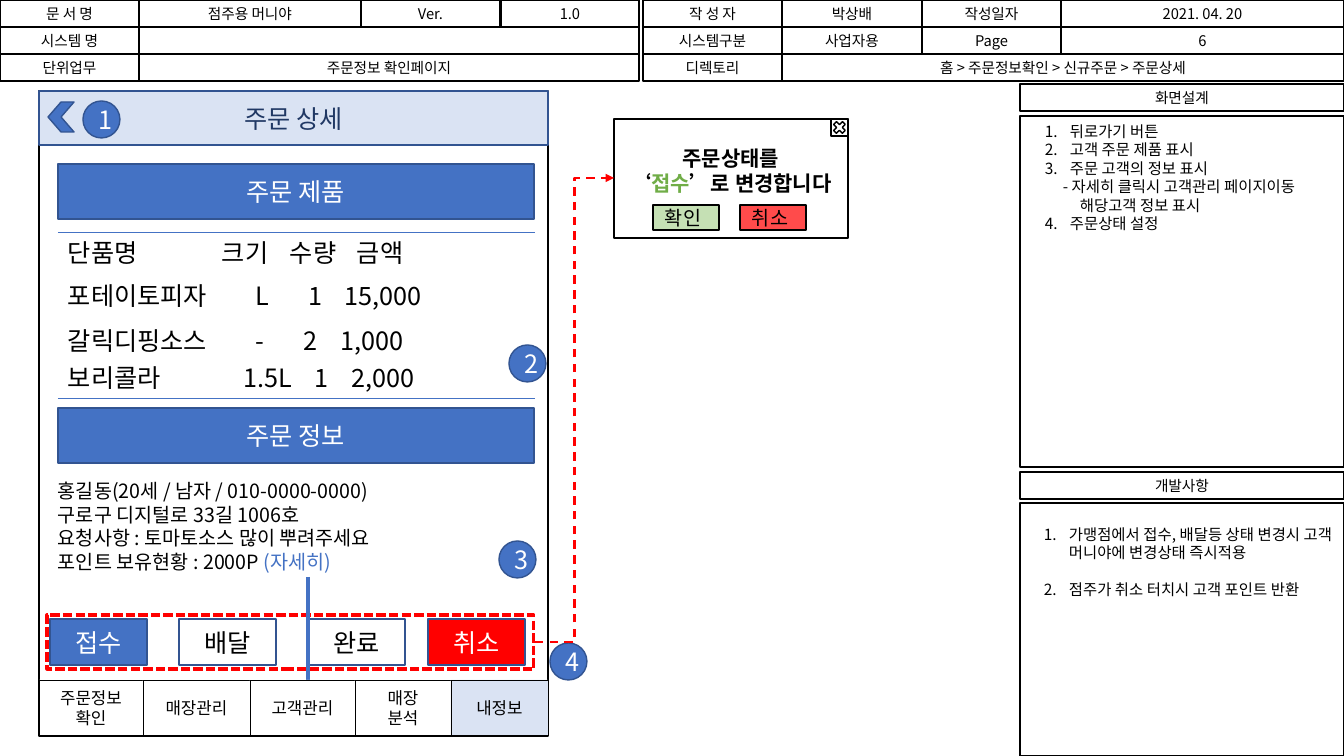
from lxml.etree import SubElement
from pptx import Presentation
from pptx.dml.color import RGBColor as RGB
from pptx.enum.dml import MSO_LINE as Dash
from pptx.enum.shapes import MSO_CONNECTOR as Link, MSO_SHAPE as Form
from pptx.enum.text import MSO_ANCHOR as Anchor, MSO_AUTO_SIZE as Fit, PP_ALIGN as Align
from pptx.oxml.ns import qn
from pptx.util import Pt

FONT = "Noto Sans CJK KR"
SCALE = 12192000 / 1344
LEAD = 1.2
HUE = {
    "ink": "000000", "white": "FFFFFF", "blue": "4472C4", "edge": "325491",
    "pale": "DAE3F3", "navy": "203864", "red": "FF0000", "green": "70AD47",
    "mint": "C5E0B4", "coral": "FF4B4B",
}


def px(n):
    return round(n * SCALE)


def tint(name):
    return RGB.from_string(HUE[name])


def put(obj, vals):
    for key, val in vals.items():
        setattr(obj, key, val)


def write(frame, paras, size, hue="ink", align=Align.CENTER, bold=False, **opts):
    put(frame, {"word_wrap": True, "auto_size": Fit.NONE,
                "vertical_anchor": Anchor.MIDDLE, **opts})
    for i, runs in enumerate(paras):
        para = frame.paragraphs[0] if i == 0 else frame.add_paragraph()
        put(para, {"alignment": align, "line_spacing": Pt(round(size * LEAD, 1))})
        for text, shade in [(runs, hue)] if isinstance(runs, str) else runs:
            run = para.add_run()
            run.text = text
            put(run.font, {"size": Pt(size), "name": FONT, "bold": bold})
            run.font.color.rgb = tint(shade)
            SubElement(run._r.get_or_add_rPr(), qn("a:ea"), typeface=FONT)


def stroke(line, hue, width, dash=None):
    line.color.rgb = tint(hue)
    put(line, {"width": Pt(width), "dash_style": dash})


def paint(shape, fill, edge, width, dash=None):
    if fill:
        shape.fill.solid()
        shape.fill.fore_color.rgb = tint(fill)
    else:
        shape.fill.background()
    stroke(shape.line, edge, width, dash)
    shape.shadow.inherit = False


def box(slide, area, fill=None, edge="ink", width=1, dash=None, form=Form.RECTANGLE):
    shape = slide.shapes.add_shape(form, *map(px, area))
    paint(shape, fill, edge, width, dash)
    return shape


def label(slide, area, text, size, hue="ink", **look):
    shape = box(slide, area, **look)
    write(shape.text_frame, text.split("\n"), size, hue)
    return shape


def note(slide, area, paras, size):
    frame = slide.shapes.add_textbox(*map(px, area)).text_frame
    write(frame, paras, size, align=Align.LEFT, vertical_anchor=Anchor.TOP)
    return frame.paragraphs


def indent(para, left, first=0, count=False):
    props = para._p.get_or_add_pPr()
    props.set("marL", str(px(left)))
    props.set("indent", str(px(first)))
    if count:
        SubElement(props, qn("a:buFont"), typeface="+mj-lt")
        SubElement(props, qn("a:buAutoNum"), type="arabicPeriod")


def tabs(para, stops):
    group = SubElement(para._p.get_or_add_pPr(), qn("a:tabLst"))
    for stop in stops:
        SubElement(group, qn("a:tab"), pos=str(px(stop)), algn="l")


def link(slide, ends, hue, width, form=Link.STRAIGHT, dash=None, arrow=False):
    wire = slide.shapes.add_connector(form, *map(px, ends))
    stroke(wire.line, hue, width, dash)
    if arrow:
        SubElement(wire.line._get_or_add_ln(), qn("a:tailEnd"), type="triangle")
    SubElement(wire._element.spPr, qn("a:effectLst"))


def header(slide):
    rows = [
        [(0, 139, "문 서 명"), (139, 361, "점주용 머니야"), (361, 500, "Ver."),
         (501, 639, "1.0"), (643, 782, "작 성 자"), (782, 922, "박상배"),
         (922, 1061, "작성일자"), (1061, 1344, "2021. 04. 20")],
        [(0, 139, "시스템 명"), (139, 639, ""), (643, 782, "시스템구분"),
         (782, 922, "사업자용"), (922, 1061, "Page"), (1061, 1344, "6")],
        [(0, 139, "단위업무"), (139, 639, "주문정보 확인페이지"), (643, 782, "디렉토리"),
         (782, 1344, "홈 > 주문정보확인 > 신규주문 > 주문상세")],
    ]
    for i, row in enumerate(rows):
        for left, right, text in row:
            label(slide, (left, 27 * i, right - left, 27), text, 10.5)


def panels(slide):
    for top, text, body, high in [(84, "화면설계", 116, 351), (472, "개발사항", 503, 253)]:
        label(slide, (1020, top, 324, 27), text, 10.5)
        box(slide, (1020, body, 324, high))
    plan = note(slide, (1035, 117, 309, 122), [
        "뒤로가기 버튼", "고객 주문 제품 표시", "주문 고객의 정보 표시",
        "- 자세히 클릭시 고객관리 페이지이동", "해당고객 정보 표시", "4.\t주문상태 설정"], 11)
    for para in plan[:3]:
        indent(para, 25, -25, True)
    indent(plan[3], 18)
    indent(plan[4], 35)
    indent(plan[5], 25, -25)
    tasks = note(slide, (1034, 520, 310, 85), [
        "가맹점에서 접수, 배달등 상태 변경시 고객 머니야에 변경상태 즉시적용",
        "점주가 취소 터치시 고객 포인트 반환"], 11)
    tasks[1].space_before = Pt(11 * LEAD)
    for para in tasks:
        indent(para, 25, -25, True)


def phone(slide):
    box(slide, (39, 91, 509, 645), "white")
    title = slide.shapes.title
    put(title, dict(zip(("left", "top", "width", "height"), map(px, (39, 91, 509, 54)))))
    paint(title, "pale", "edge", 1)
    write(title.text_frame, ["주문 상세"], 18, "navy")
    slide.shapes._spTree.append(title._element)
    box(slide, (48, 102, 26, 30), "blue", "edge", form=Form.CHEVRON).rotation = 180
    for top, text in [(164, "주문 제품"), (408, "주문 정보")]:
        label(slide, (58, top, 476, 55), text, 18, "white", fill="blue", edge="edge")
    goods = [
        (232, "단품명\t크기\t수량\t금액", (154, 222, 289)),
        (275, "포테이토피자\tL\t1\t15,000", (188, 241, 277)),
        (320, "갈릭디핑소스\t-\t2\t1,000", (188, 236, 273)),
        (357, "보리콜라\t1.5L\t1\t2,000", (176, 247, 284)),
    ]
    for top, text, stops in goods:
        tabs(note(slide, (58, top, 469, 40), [text], 18)[0], stops)
    for y in (232, 398):
        link(slide, (58, y, 535, y), "blue", 0.5)
    note(slide, (48, 474, 469, 105), [
        "홍길동(20세 / 남자 / 010-0000-0000)", "구로구 디지털로 33길 1006호",
        "요청사항 : 토마토소스 많이 뿌려주세요",
        [("포인트 보유현황 : 2000P ", "ink"), ("(자세히)", "blue")]], 14)
    for left, text, fill, hue in [(50, "접수", "blue", "white"), (179, "배달", "white", "ink"),
                                  (308, "완료", "white", "ink"), (428, "취소", "red", "white")]:
        label(slide, (left, 619, 97, 46), text, 18, hue, fill=fill, edge="edge")


def popup(slide):
    frame = box(slide, (614, 119, 234, 119), "white").text_frame
    write(frame, ["주문상태를", [("‘", "ink"), ("접수", "green"), ("’로 변경합니다", "ink")]],
          15, bold=True, vertical_anchor=Anchor.TOP, margin_top=px(26))
    for left, text, fill in [(653, "확인", "mint"), (740, "취소", "coral")]:
        frame = box(slide, (left, 205, 66, 25), fill).text_frame
        write(frame, [text], 14, align=Align.LEFT, margin_left=px(12))
    for form in (Form.RECTANGLE, Form.MATH_MULTIPLY):
        box(slide, (831, 119, 17, 17), form=form)


def marks(slide):
    for i, (left, top) in enumerate([(83, 101), (509, 345), (499, 541), (550, 643)], 1):
        label(slide, (left, top, 37, 37), str(i), 18, "white",
              fill="blue", edge="edge", form=Form.OVAL)
    box(slide, (47, 615, 487, 54), edge="red", width=2.25, dash=Dash.SQUARE_DOT)
    link(slide, (535, 642, 614, 178), "red", 1.5, Link.ELBOW, Dash.DASH, True)
    link(slide, (308, 577, 308, 693), "blue", 2.5, arrow=True)


def menu(slide):
    edges = [39, 143, 250, 355, 451, 548]
    names = ["주문정보\n확인", "매장관리", "고객관리", "매장\n분석", "내정보"]
    for left, right, name in zip(edges, edges[1:], names):
        fill = "pale" if name == names[-1] else "white"
        label(slide, (left, 680, right - left, 55), name, 12, fill=fill, width=0.5)


def main():
    deck = Presentation()
    put(deck, {"slide_width": px(1344), "slide_height": px(756)})
    slide = deck.slides.add_slide(deck.slide_layouts[5])
    for draw in (header, panels, phone, popup, marks, menu):
        draw(slide)
    deck.save("out.pptx")


main()
